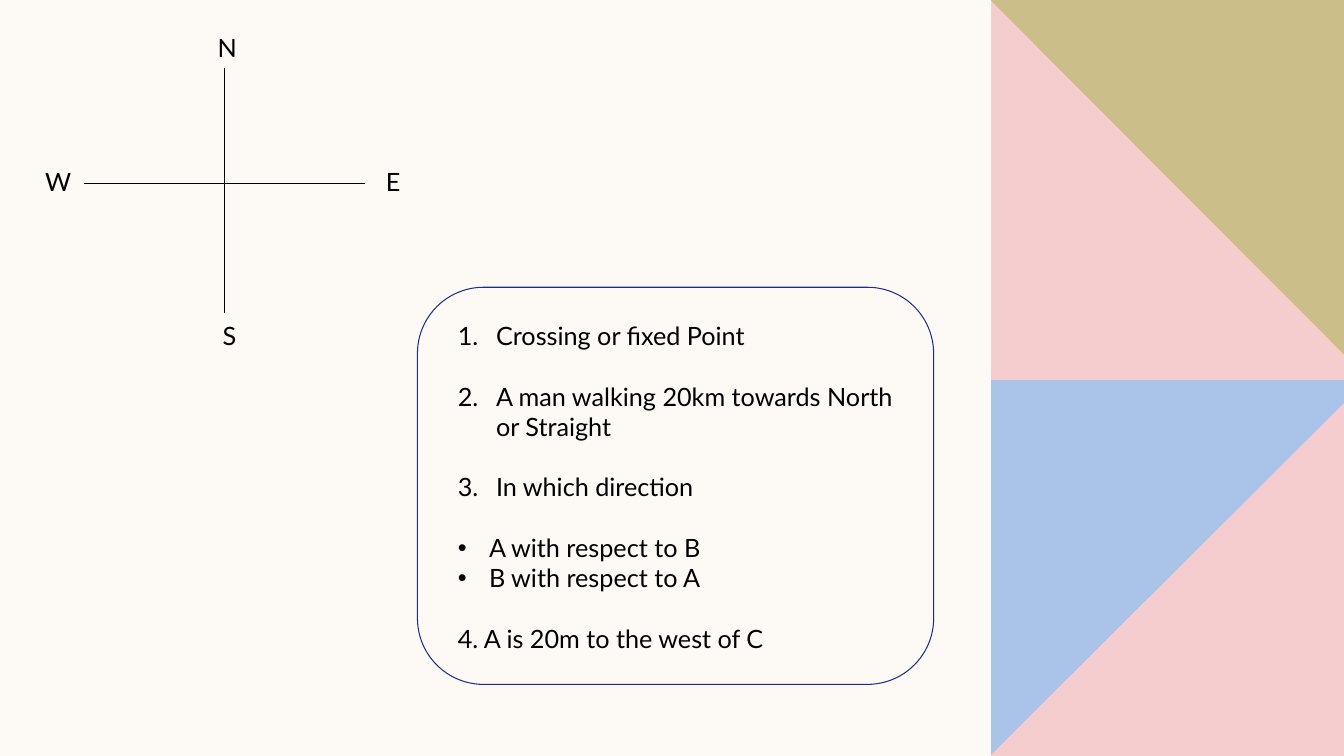
from lxml import etree
from pptx import Presentation
from pptx.dml.color import RGBColor
from pptx.enum.shapes import MSO_CONNECTOR, MSO_SHAPE
from pptx.enum.text import MSO_ANCHOR, MSO_AUTO_SIZE
from pptx.oxml.ns import qn
from pptx.util import Inches, Pt

STRAIGHT = MSO_CONNECTOR.STRAIGHT
ROUNDED = MSO_SHAPE.ROUNDED_RECTANGLE
TOP = MSO_ANCHOR.TOP
NO_FIT = MSO_AUTO_SIZE.NONE

COLORS = {
    "paper": "FDFAF6",
    "blue": "AAC3E8",
    "pink": "F5CDCE",
    "olive": "CCBE89",
    "ink": "000000",
    "frame": "1F2C8F",
}
WIDTH, HEIGHT = 13.33, 7.5
BAND_LEFT = 9.83

BAND_PIECES = [
    ("blue", [(BAND_LEFT, 3.75), (WIDTH, 3.75), (WIDTH, HEIGHT), (BAND_LEFT, HEIGHT)]),
    ("pink", [(WIDTH, 4), (WIDTH, HEIGHT), (BAND_LEFT, HEIGHT), (BAND_LEFT, 7.49)]),
    ("olive", [(BAND_LEFT, 0), (WIDTH, 0), (WIDTH, 3.76), (BAND_LEFT, 3.76)]),
    ("pink", [(BAND_LEFT, 0.01), (WIDTH, 3.52), (WIDTH, 3.77), (BAND_LEFT, 3.77)]),
]
COMPASS_LINES = [(2.23, 0.67, 2.23, 3.11), (0.83, 1.82, 3.62, 1.82)]
COMPASS_LABELS = [("N", 2.06, 0.27), ("S", 2.11, 3.13), ("W", 0.35, 1.6), ("E", 3.73, 1.6)]
QUESTION_TYPES = [
    ("Crossing or fixed Point", "number", 0),
    ("A man walking 20km towards North or Straight", "number", 1),
    ("In which direction", "number", 1),
    ("A with respect to B", "bullet", 1),
    ("B with respect to A", "bullet", 0),
    ("4. A is 20m to the west of C", "plain", 1),
]
MARKERS = {
    "number": (0.38, "a:buAutoNum", {"type": "arabicPeriod"}),
    "bullet": (0.31, "a:buChar", {"char": "•"}),
    "plain": (0, "a:buNone", {}),
}


class SlideBuilder:
    """Hold the text style and the current slide, and add elements to it."""

    def __init__(self, prs, font="Lato", size=18):
        self.font, self.size = font, size
        self.s = prs.slides.add_slide(prs.slide_layouts[1])
        title = self.s.shapes.title
        title.element.getparent().remove(title.element)
        fill = self.s.background.fill
        fill.solid()
        fill.fore_color.rgb = self.color("paper")

    def color(self, name):
        return RGBColor.from_string(COLORS[name])

    def style(self, p):
        for r in p.runs:
            r.font.name = self.font
            r.font.size = Pt(self.size)
            r.font.color.rgb = self.color("ink")

    def polygon(self, color, points):
        first, *rest = [(Inches(x), Inches(y)) for x, y in points]
        builder = self.s.shapes.build_freeform(*first)
        builder.add_line_segments(rest, close=True)
        sp = builder.convert_to_shape()
        sp.shadow.inherit = False
        sp.fill.solid()
        sp.fill.fore_color.rgb = self.color(color)
        sp.line.fill.background()

    def line(self, *ends):
        c = self.s.shapes.add_connector(STRAIGHT, *map(Inches, ends))
        c.line.color.rgb = self.color("ink")
        c.line.width = Pt(0.5)
        etree.SubElement(c.element.spPr, qn("a:effectLst"))

    def label(self, text, left, top):
        sp = self.s.shapes.add_textbox(Inches(left), Inches(top), Inches(0.5), Inches(0.4))
        tf = sp.text_frame
        tf.word_wrap = True
        tf.text = text
        self.style(tf.paragraphs[0])

    def list(self, items, *box):
        sp = self.s.placeholders[1]
        sp.left, sp.top, sp.width, sp.height = map(Inches, box)
        tf = sp.text_frame
        tf.word_wrap = True
        tf.auto_size = NO_FIT
        tf.vertical_anchor = TOP
        tf.text = "\n".join(text for text, _, _ in items)
        for p, (_, marker, gap_lines) in zip(tf.paragraphs, items):
            indent, tag, attributes = MARKERS[marker]
            p.space_before = Pt(gap_lines * self.size * 1.2)
            pPr = p._p.get_or_add_pPr()
            pPr.set("marL", str(Inches(indent)))
            pPr.set("indent", str(-Inches(indent)))
            etree.SubElement(pPr, qn(tag), attributes)
            self.style(p)

    def frame(self, *box):
        sp = self.s.shapes.add_shape(ROUNDED, *map(Inches, box))
        sp.shadow.inherit = False
        sp.fill.background()
        sp.line.color.rgb = self.color("frame")
        sp.line.width = Pt(0.75)


def main():
    prs = Presentation()
    prs.slide_width, prs.slide_height = Inches(WIDTH), Inches(HEIGHT)
    slide = SlideBuilder(prs)
    for color, points in BAND_PIECES:
        slide.polygon(color, points)
    for ends in COMPASS_LINES:
        slide.line(*ends)
    for label in COMPASS_LABELS:
        slide.label(*label)
    slide.list(QUESTION_TYPES, 4.44, 3.13, 4.74, 3.43)
    slide.frame(4.14, 2.85, 5.12, 3.94)
    prs.save("out.pptx")


if __name__ == "__main__":
    main()
